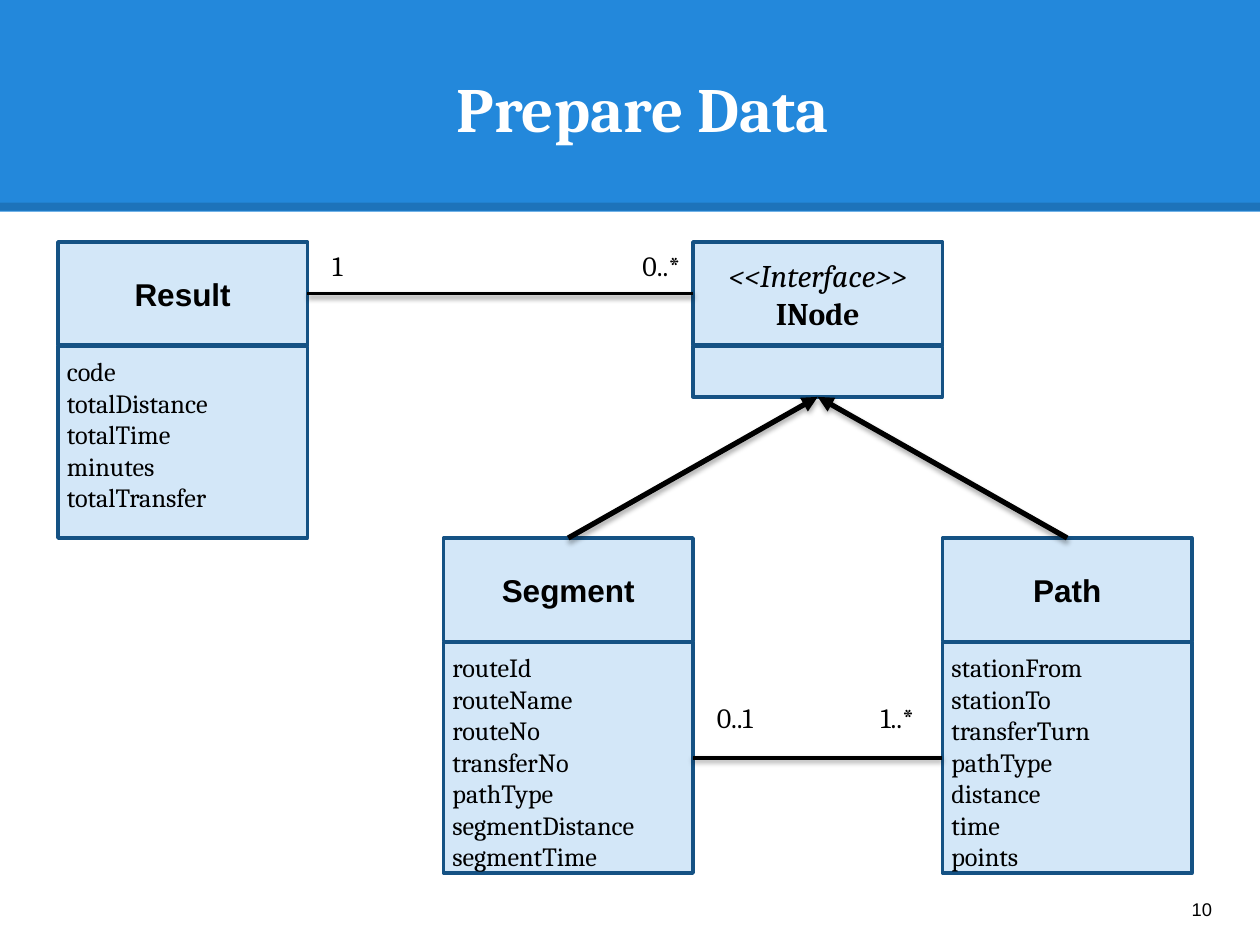
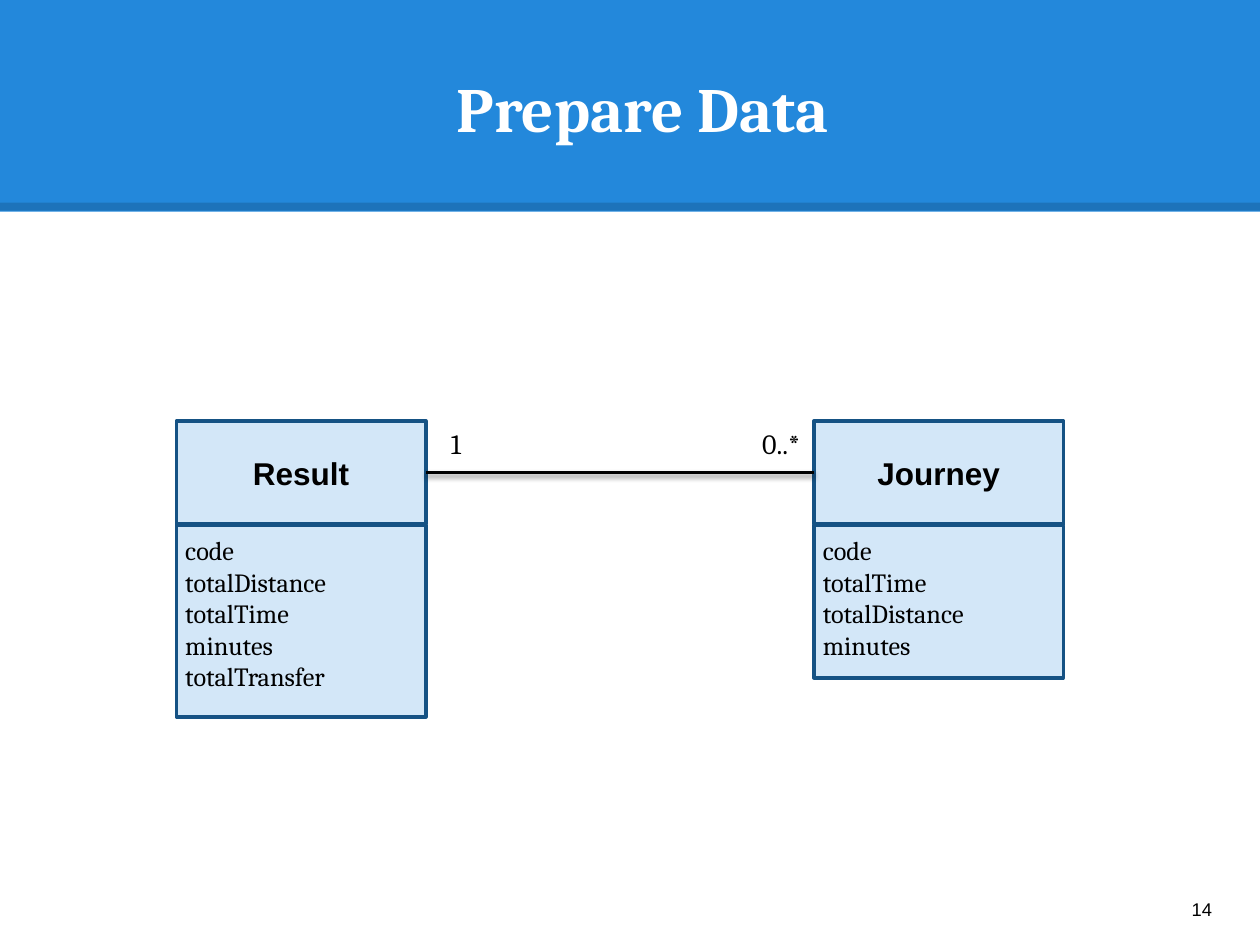
from lxml import etree
from pptx import Presentation
from pptx import util as u
from pptx.dml import color
from pptx.enum import shapes, text
from pptx.oxml import ns

COLORS = {
    "band": "2388DB",
    "box": "D3E7F8",
    "border": "155284",
    "ink": "000000",
    "title": "FFFFFF",
}
FORMATS = {
    "title": {"name": "Cambria", "size": u.Pt(36), "bold": True},
    "number": {"name": "Arial", "size": u.Pt(10.5)},
    "name": {"name": "Arial", "size": u.Pt(18), "bold": True},
    "stereotype": {"name": "Cambria", "size": u.Pt(18), "italic": True},
    "interface": {"name": "Cambria", "size": u.Pt(18), "bold": True},
    "attribute": {"name": "Cambria", "size": u.Pt(15)},
    "multiplicity": {"name": "Cambria", "size": u.Pt(16)},
}
BOX_WIDTH, HEAD_HEIGHT, BODY_OFFSET = 1.98, 0.82, 0.83
TOP, RIGHT, BOTTOM, LEFT = 0, 3, 2, 1
RESULT_ATTRIBUTES = ["code", "totalDistance", "totalTime", "minutes", "totalTransfer"]


def rgb(name):
    return color.RGBColor.from_string(COLORS[name])


def add_element(parent, tag, **attributes):
    return etree.SubElement(parent, ns.qn(tag), attributes)


class Diagram:
    def __init__(self):
        self.presentation = Presentation()
        self.presentation.slide_width = u.Inches(10)
        self.presentation.slide_height = u.Inches(7.5)
        self.slide = None

    def new_slide(self, title, number):
        self.slide = self.presentation.slides.add_slide(self.presentation.slide_layouts[6])
        band = self.rectangle(0, 0, 10, 1.68, "band")
        band.line.fill.background()
        edge = self.connector(0, 1.64, 10, 1.64, 4.5)
        fill_color = edge._element.spPr.find(".//" + ns.qn("a:srgbClr"))
        add_element(fill_color, "a:alpha", val="15000")
        self.label(9.36, 6.93, 0.6, 0.57, str(number), "number", anchor="MIDDLE", inset=0.1)
        self.label(0.24, 0.33, 9.72, 0.92, title, "title", "title", "BOTTOM", "CENTER", 0.1)

    def fill_text(self, shape, lines, ink="ink", anchor="TOP", align="LEFT", inset=None, wrap=True):
        frame = shape.text_frame
        frame.word_wrap = wrap
        frame.vertical_anchor = text.MSO_ANCHOR[anchor]
        if inset is not None:
            for side in ("left", "top", "right", "bottom"):
                setattr(frame, f"margin_{side}", u.Inches(inset))
        for index, (words, style) in enumerate(lines):
            paragraph = frame.add_paragraph() if index else frame.paragraphs[0]
            paragraph.alignment = text.PP_ALIGN[align]
            run = paragraph.add_run()
            run.text = words
            for key, value in FORMATS[style].items():
                setattr(run.font, key, value)
            run.font.color.rgb = rgb(ink)

    def rectangle(self, left, top, width, height, fill):
        shape = self.slide.shapes.add_shape(
            shapes.MSO_SHAPE.RECTANGLE, *map(u.Inches, (left, top, width, height)))
        shape.shadow.inherit = False
        shape.fill.solid()
        shape.fill.fore_color.rgb = rgb(fill)
        return shape

    def label(self, left, top, width, height, words, style, ink="ink",
              anchor="TOP", align="LEFT", inset=None, wrap=True):
        shape = self.slide.shapes.add_textbox(*map(u.Inches, (left, top, width, height)))
        self.fill_text(shape, [(words, style)], ink, anchor, align, inset, wrap)
        return shape

    def multiplicity(self, left, top, words):
        width = 0.33 if len(words) == 1 else 0.51
        shape = self.label(left, top, width, 0.37, words, "multiplicity", wrap=False)
        shape.text_frame.auto_size = text.MSO_AUTO_SIZE.SHAPE_TO_FIT_TEXT

    def compartment(self, left, top, height, lines, anchor, align):
        shape = self.rectangle(left, top, BOX_WIDTH, height, "box")
        shape.line.color.rgb = rgb("border")
        shape.line.width = u.Pt(2)
        self.fill_text(shape, lines, anchor=anchor, align=align, inset=0.07)
        return shape

    def class_box(self, left, top, heading, attributes, body_height):
        lines = [(attribute, "attribute") for attribute in attributes]
        body = self.compartment(left, top + BODY_OFFSET, body_height, lines, "TOP", "LEFT")
        head = self.compartment(left, top, HEAD_HEIGHT, heading, "MIDDLE", "CENTER")
        return head, body

    def connector(self, x1, y1, x2, y2, width):
        line = self.slide.shapes.add_connector(
            shapes.MSO_CONNECTOR.STRAIGHT, *map(u.Inches, (x1, y1, x2, y2)))
        line.line.color.rgb = rgb("ink")
        line.line.width = u.Pt(width)
        add_element(line._element.spPr, "a:effectLst")
        return line

    def link(self, start, start_site, end, end_site, width=2, distance=1.6, opacity=38):
        line = self.connector(0, 0, 1, 1, width)
        line.begin_connect(start, start_site)
        line.end_connect(end, end_site)
        effects = line._element.spPr.find(ns.qn("a:effectLst"))
        shadow = add_element(effects, "a:outerShdw", blurRad=str(int(u.Pt(3.1))),
                             dist=str(int(u.Pt(distance))), dir="5400000", rotWithShape="0")
        shadow_color = add_element(shadow, "a:srgbClr", val=COLORS["ink"])
        add_element(shadow_color, "a:alpha", val=str(opacity * 1000))
        return line

    def inheritance(self, child, parent):
        line = self.link(child, TOP, parent, BOTTOM, 3, 1.8, 35)
        add_element(line._element.spPr.find(ns.qn("a:ln")), "a:tailEnd", type="triangle")

    def association(self, start, end, labels):
        self.link(start, RIGHT, end, LEFT)
        for left, top, words in labels:
            self.multiplicity(left, top, words)


diagram = Diagram()

diagram.new_slide("Prepare Data", 10)
node_head, node_body = diagram.class_box(
    5.5, 1.92, [("<<Interface>>", "stereotype"), ("INode", "interface")], [], 0.4)
result_head, result_body = diagram.class_box(
    0.46, 1.92, [("Result", "name")], RESULT_ATTRIBUTES, 1.52)
segment_head, segment_body = diagram.class_box(
    3.52, 4.27, [("Segment", "name")],
    ["routeId", "routeName", "routeNo", "transferNo", "pathType",
     "segmentDistance", "segmentTime"], 1.83)
path_head, path_body = diagram.class_box(
    7.48, 4.27, [("Path", "name")],
    ["stationFrom", "stationTo", "transferTurn", "pathType", "distance",
     "time", "points"], 1.83)
diagram.association(result_head, node_head, [(2.54, 1.92, "1"), (5, 1.92, "0..*")])
for child in (segment_head, path_head):
    diagram.inheritance(child, node_body)
diagram.association(segment_body, path_body, [(5.59, 5.51, "0..1"), (6.89, 5.51, "1..*")])

diagram.new_slide("Prepare Data", 14)
result_head, result_body = diagram.class_box(
    1.4, 3.34, [("Result", "name")], RESULT_ATTRIBUTES, 1.52)
journey_head, journey_body = diagram.class_box(
    6.46, 3.34, [("Journey", "name")],
    ["code", "totalTime", "totalDistance", "minutes"], 1.21)
diagram.association(result_head, journey_head, [(3.48, 3.34, "1"), (5.95, 3.34, "0..*")])

diagram.presentation.save("out.pptx")
